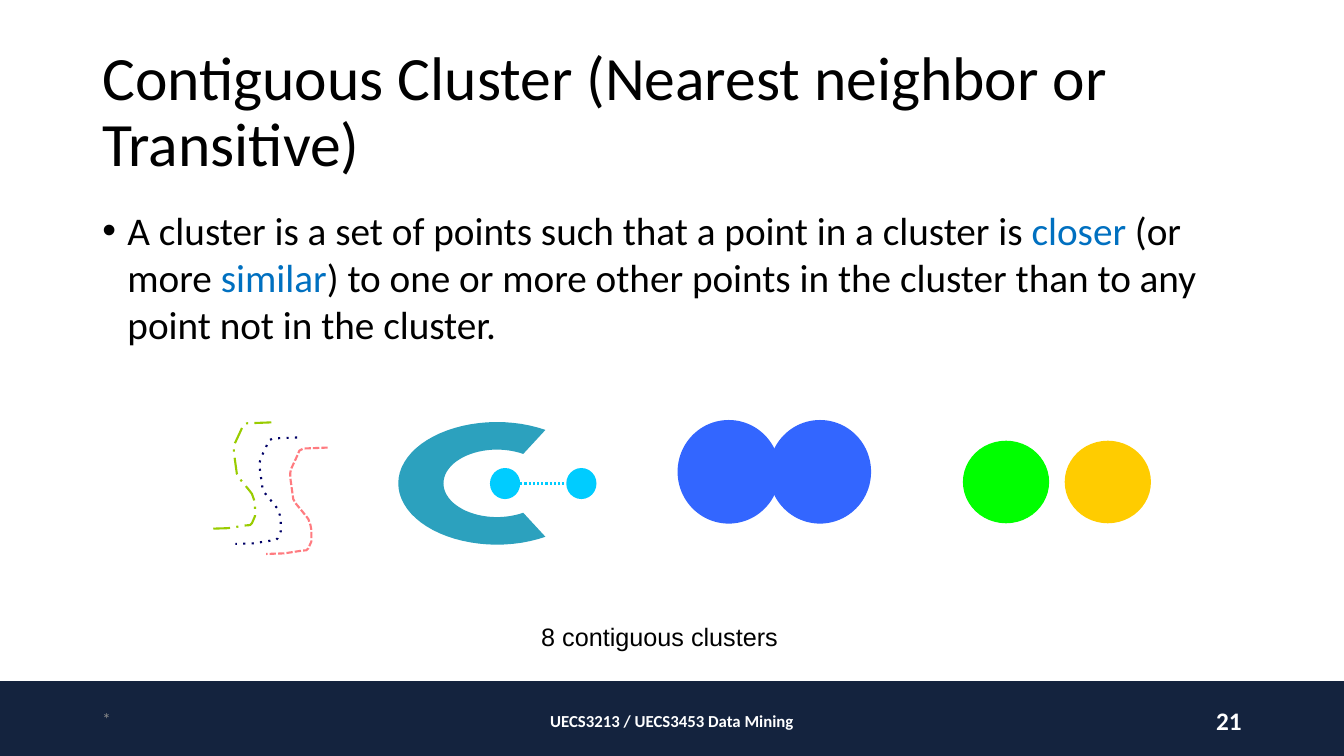
import math

from lxml import etree
from pptx import Presentation
from pptx.dml.color import RGBColor
from pptx.enum.dml import MSO_LINE
from pptx.enum.shapes import MSO_CONNECTOR, MSO_SHAPE
from pptx.enum.text import MSO_ANCHOR, PP_ALIGN
from pptx.oxml.ns import qn
from pptx.util import Pt

OVAL, RECTANGLE = MSO_SHAPE.OVAL, MSO_SHAPE.RECTANGLE
STRAIGHT = MSO_CONNECTOR.STRAIGHT
TOP, MIDDLE = MSO_ANCHOR.TOP, MSO_ANCHOR.MIDDLE
LEFT, CENTER, RIGHT = PP_ALIGN.LEFT, PP_ALIGN.CENTER, PP_ALIGN.RIGHT
LONG_DASH_DOT, DOT = MSO_LINE.LONG_DASH_DOT, MSO_LINE.ROUND_DOT
SHORT_DASH, FINE_DOT = MSO_LINE.SQUARE_DOT, MSO_LINE.SQUARE_DOT

BLACK, WHITE, ACCENT = "000000", "FFFFFF", "0070C0"
CYAN = "00CCFF"
S_CURVE = [(44, 0), (26.6, 0.7), (23.8, 2.2), (22.3, 5.8), (18, 15),
           (17.3, 18), (17.3, 21.6), (19.4, 36.7), (20.9, 39.6), (28, 48.2),
           (30.2, 51.1), (31.7, 55.4), (32.4, 59), (32.4, 67), (30.2, 72),
           (28.8, 73.4), (25.9, 73.6), (13, 75.6), (0, 76)]


def rgb(hex_color):
    return RGBColor.from_string(hex_color)


def fill_plain(shape, color):
    shape.shadow.inherit = False
    shape.fill.solid()
    shape.fill.fore_color.rgb = rgb(color)
    shape.line.fill.background()


def add_filled_shape(slide, kind, left, top, width, height, color):
    shape = slide.shapes.add_shape(kind, Pt(left), Pt(top), Pt(width), Pt(height))
    fill_plain(shape, color)


def add_outline(slide, points, closed):
    start, *rest = [(Pt(x), Pt(y)) for x, y in points]
    builder = slide.shapes.build_freeform(*start)
    builder.add_line_segments(rest, close=closed)
    shape = builder.convert_to_shape()
    shape.shadow.inherit = False
    return shape


def style_line(line, color, preset):
    line.color.rgb = rgb(color)
    line.width = Pt(1.5)
    line._get_or_add_ln().get_or_add_prstDash().set("val", preset)


def add_s_curve(slide, left, top, color, preset):
    points = [(left + x, top + y) for x, y in S_CURVE]
    shape = add_outline(slide, points, closed=False)
    shape.fill.background()
    style_line(shape.line, color, preset)


def arc(center_x, center_y, radius_x, radius_y, gap, steps=48):
    """Points of an ellipse that is open to the right by gap degrees each way."""
    angles = [math.radians(gap + (360 - 2 * gap) * i / steps) for i in range(steps + 1)]
    return [(center_x + radius_x * math.cos(a), center_y + radius_y * math.sin(a))
            for a in angles]


def add_open_ring(slide, color):
    outer = arc(355, 345.3, 70.5, 43.8, 60.6)
    inner = arc(355, 345.3, 38.2, 24.1, 60.6)
    fill_plain(add_outline(slide, outer + inner[::-1], closed=True), color)


def add_dotted_link(slide, start_x, end_x, y, color):
    link = slide.shapes.add_connector(STRAIGHT, Pt(start_x), Pt(y), Pt(end_x), Pt(y))
    style_line(link.line, color, "sysDot")
    etree.SubElement(link._element.spPr, qn("a:effectLst"))


def add_text(slide, left, top, width, height, runs, size, font="Calibri",
             bold=False, align=LEFT, anchor=MIDDLE, inset=(7.2, 3.6)):
    """Add one paragraph made of (text, color) runs and return it."""
    box = slide.shapes.add_textbox(Pt(left), Pt(top), Pt(width), Pt(height))
    frame = box.text_frame
    frame.word_wrap = True
    frame.vertical_anchor = anchor
    frame.margin_left = frame.margin_right = Pt(inset[0])
    frame.margin_top = frame.margin_bottom = Pt(inset[1])
    paragraph = frame.paragraphs[0]
    paragraph.alignment = align
    paragraph.font.name = font
    paragraph.font.size = Pt(size)
    paragraph.font.bold = bold
    for text, color in runs:
        run = paragraph.add_run()
        run.text = text
        run.font.color.rgb = rgb(color)
    return paragraph


def add_bullet(paragraph, indent):
    properties = paragraph._p.get_or_add_pPr()
    properties.set("marL", str(Pt(indent)))
    properties.set("indent", str(-Pt(indent)))
    bullet_font = etree.Element(qn("a:buFont"), typeface="Arial")
    bullet = etree.Element(qn("a:buChar"), char="•")
    properties.insert(0, bullet_font)
    properties.insert(1, bullet)


def add_clusters(slide):
    for left, top, color, preset in [(149.8, 301.7, "99CC00", "lgDashDot"),
                                     (168.2, 312.5, "000066", "dot"),
                                     (190.1, 319.7, "FF7B80", "sysDash")]:
        add_s_curve(slide, left, top, color, preset)
    add_open_ring(slide, "2CA1BE")
    for left in (350, 404.5):
        add_filled_shape(slide, OVAL, left, 334.3, 21.6, 22.2, CYAN)
    add_dotted_link(slide, 371.6, 404.5, 345.4, CYAN)
    for left in (484, 549.2):
        add_filled_shape(slide, OVAL, left, 300, 73, 74, "3366FF")
    for left, color in [(687.8, "00FF00"), (760.5, "FFCC00")]:
        add_filled_shape(slide, OVAL, left, 314.8, 61.6, 59, color)


def main():
    presentation = Presentation()
    presentation.slide_width, presentation.slide_height = Pt(960), Pt(540)
    slide = presentation.slides.add_slide(presentation.slide_layouts[6])

    add_filled_shape(slide, RECTANGLE, 0, 486.5, 960, 53.5, "14233E")
    title = add_text(slide, 66, 28.8, 828, 104.4,
                     [("Contiguous Cluster (Nearest neighbor or Transitive)", BLACK)], 44)
    title.line_spacing = 0.9
    definition = add_text(slide, 66, 144, 828, 342.5, [
        ("A cluster is a set of points such that a point in a cluster is ", BLACK),
        ("closer", ACCENT),
        (" (or more ", BLACK),
        ("similar", ACCENT),
        (") to one or more other points in the cluster than to any "
         "point not in the cluster.", BLACK),
    ], 28, anchor=TOP)
    add_bullet(definition, 18)

    add_clusters(slide)
    add_text(slide, 386.6, 443, 171.4, 23, [("8 contiguous clusters", BLACK)], 18,
             font="Arial", anchor=TOP, inset=(0, 0.7))

    add_text(slide, 66, 499, 216, 28.8, [("*", "8C8C8C")], 12)
    add_text(slide, 318, 500.5, 324, 28.8,
             [("UECS3213 / UECS3453 Data Mining", WHITE)], 12, bold=True, align=CENTER)
    add_text(slide, 678, 500.5, 216, 28.8, [("21", WHITE)], 18, bold=True, align=RIGHT)

    presentation.save("out.pptx")


if __name__ == "__main__":
    main()
